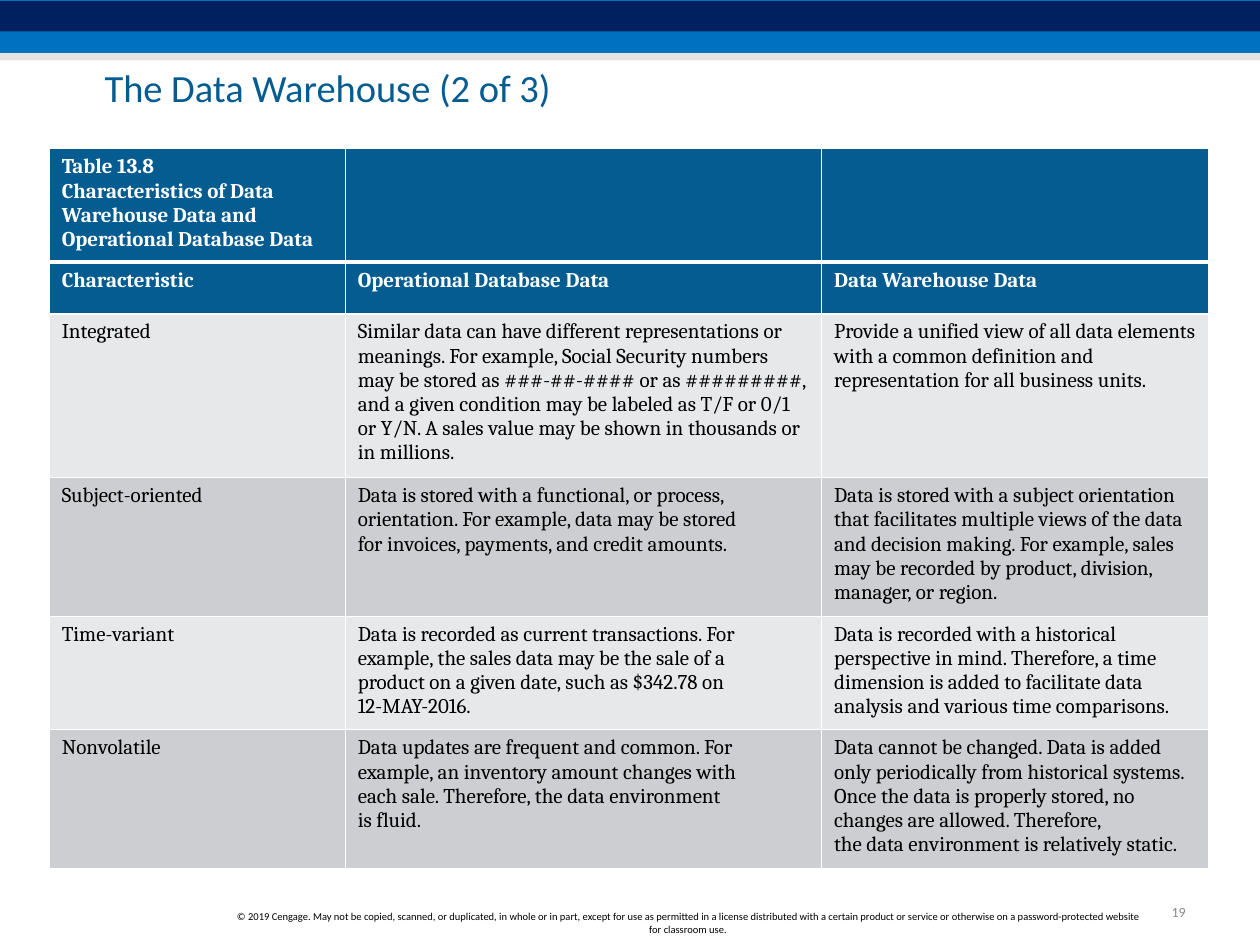
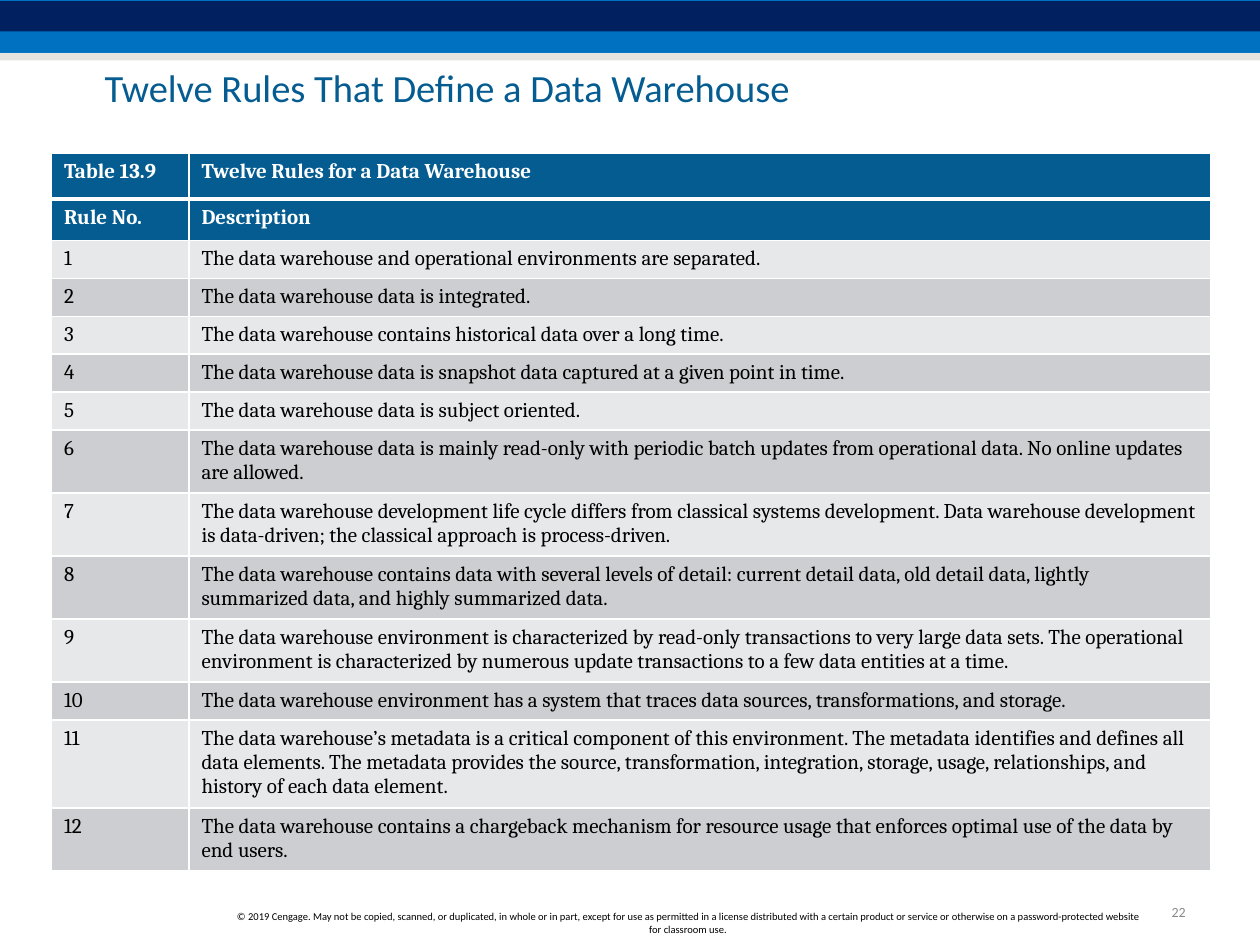
import pptx
import pptx.dml.color
import pptx.enum.shapes
import pptx.enum.text
import pptx.oxml
import pptx.oxml.ns
import pptx.util

Inches = pptx.util.Inches
Pt = pptx.util.Pt
ALIGN = pptx.enum.text.PP_ALIGN
ANCHOR = pptx.enum.text.MSO_ANCHOR
AUTO_SIZE = pptx.enum.text.MSO_AUTO_SIZE

# Shared style
WHITE, BLACK, GREY = "FFFFFF", "000000", "898989"
HEADER_BLUE = "055C91"
STRIPES = ("E7E8EA", "CCCED1")
# Each band: top, height, colour, opacity in percent
BANDS = [(0, 0.42, "0070C0", 100), (0.01, 0.24, "002060", 100), (0.42, 0.06, "CCC9C1", 50)]
TITLE_BOX = (0.83, 0.56, 8.78, 0.32)
FOOTER_BOX = (1.75, 7.19, 7.42, 0.27)
NUMBER_BOX = (9.17, 7.12, 0.34, 0.24)
LINE_HEIGHT, ROW_PADDING = 0.2, 0.1
COPYRIGHT = (
    "© 2019 Cengage. May not be copied, scanned, or duplicated, in whole or in part, "
    "except for use as permitted in a license distributed with a certain product or "
    "service or otherwise on a password-protected website for classroom use."
)

# Table contents: each body row starts with its number of text lines
CHARACTERISTICS = [
    (6, "Integrated",
     "Similar data can have different representations or meanings. For example, Social "
     "Security numbers may be stored as ###-##-#### or as #########, and a given condition "
     "may be labeled as T/F or 0/1 or Y/N. A sales value may be shown in thousands or in "
     "millions.",
     "Provide a unified view of all data elements with a common definition and "
     "representation for all business units."),
    (5, "Subject-oriented",
     "Data is stored with a functional, or process,\n"
     "orientation. For example, data may be stored\n"
     "for invoices, payments, and credit amounts.",
     "Data is stored with a subject orientation that facilitates multiple views of the data "
     "and decision making. For example, sales may be recorded by product, division, manager, "
     "or region."),
    (4, "Time-variant",
     "Data is recorded as current transactions. For\n"
     "example, the sales data may be the sale of a\n"
     "product on a given date, such as $342.78 on\n"
     "12-MAY-2016.",
     "Data is recorded with a historical perspective in mind. Therefore, a time dimension is "
     "added to facilitate data analysis and various time comparisons."),
    (5, "Nonvolatile",
     "Data updates are frequent and common. For\n"
     "example, an inventory amount changes with\n"
     "each sale. Therefore, the data environment\n"
     "is fluid.",
     "Data cannot be changed. Data is added only periodically from historical systems. Once "
     "the data is properly stored, no changes are allowed. Therefore,\n"
     "the data environment is relatively static."),
]
RULES = [
    (1, "The data warehouse and operational environments are separated."),
    (1, "The data warehouse data is integrated."),
    (1, "The data warehouse contains historical data over a long time."),
    (1, "The data warehouse data is snapshot data captured at a given point in time."),
    (1, "The data warehouse data is subject oriented."),
    (2, "The data warehouse data is mainly read-only with periodic batch updates from "
        "operational data. No online updates are allowed."),
    (2, "The data warehouse development life cycle differs from classical systems "
        "development. Data warehouse development is data-driven; the classical approach is "
        "process-driven."),
    (2, "The data warehouse contains data with several levels of detail: current detail "
        "data, old detail data, lightly summarized data, and highly summarized data."),
    (2, "The data warehouse environment is characterized by read-only transactions to very "
        "large data sets. The operational environment is characterized by numerous update "
        "transactions to a few data entities at a time."),
    (1, "The data warehouse environment has a system that traces data sources, "
        "transformations, and storage."),
    (3, "The data warehouse’s metadata is a critical component of this environment. The "
        "metadata identifies and defines all data elements. The metadata provides the source, "
        "transformation, integration, storage, usage, relationships, and history of each data "
        "element."),
    (2, "The data warehouse contains a chargeback mechanism for resource usage that enforces "
        "optimal use of the data by end users."),
]


def rgb(color):
    return pptx.dml.color.RGBColor.from_string(color)


def write_text(frame, text, *, size, color, font="Calibri", bold=False,
               align=ALIGN.LEFT, spacing=None):
    """Fill a text frame, one paragraph per line of text."""
    frame.text = text
    for paragraph in frame.paragraphs:
        paragraph.alignment = align
        if spacing:
            paragraph.line_spacing = spacing
        for run in paragraph.runs:
            run.font.name = font
            run.font.size = Pt(size)
            run.font.bold = bold
            run.font.color.rgb = rgb(color)


def add_text(slide, box, text, *, wrap=True, grow=False, margin=None, **text_format):
    frame = slide.shapes.add_textbox(*map(Inches, box)).text_frame
    frame.word_wrap = wrap
    frame.auto_size = AUTO_SIZE.SHAPE_TO_FIT_TEXT if grow else AUTO_SIZE.NONE
    frame.vertical_anchor = ANCHOR.MIDDLE
    if margin is not None:
        frame.margin_left = frame.margin_right = Inches(margin)
        frame.margin_top = frame.margin_bottom = Inches(margin)
    write_text(frame, text, **text_format)


def add_bands(slide):
    for top, height, color, opacity in BANDS:
        band = slide.shapes.add_shape(
            pptx.enum.shapes.MSO_SHAPE.RECTANGLE,
            Inches(0), Inches(top), Inches(10), Inches(height))
        band.shadow.inherit = False
        band.line.fill.background()
        band.fill.solid()
        band.fill.fore_color.rgb = rgb(color)
        if opacity < 100:
            color_element = band.fill._xPr.find(".//" + pptx.oxml.ns.qn("a:srgbClr"))
            color_element.append(pptx.oxml.parse_xml(
                f'<a:alpha {pptx.oxml.ns.nsdecls("a")} val="{opacity * 1000}"/>'))


def add_frame(presentation, title, number):
    """Add a slide with the bands, title, copyright line and page number."""
    slide = presentation.slides.add_slide(presentation.slide_layouts[6])
    add_text(slide, NUMBER_BOX, str(number), wrap=False, grow=True,
             size=8, color=GREY, align=ALIGN.RIGHT)
    add_bands(slide)
    add_text(slide, TITLE_BOX, title, grow=True, margin=0,
             size=22, color=HEADER_BLUE, spacing=0.85)
    add_text(slide, FOOTER_BOX, COPYRIGHT, size=6, color=BLACK, align=ALIGN.CENTER)
    return slide


def set_borders(cell, **widths):
    """Draw white cell borders; widths are points for L, R, T and B."""
    properties = cell._tc.get_or_add_tcPr()
    for side, width in widths.items():
        properties.append(pptx.oxml.parse_xml(
            f'<a:ln{side} {pptx.oxml.ns.nsdecls("a")} w="{Pt(width)}"><a:solidFill>'
            f'<a:srgbClr val="{WHITE}"/></a:solidFill></a:ln{side}>'))


def add_striped_table(slide, left, top, column_widths, header_heights, headers, body):
    """Place two header rows over striped body rows sized by their line counts."""
    heights = header_heights + [lines * LINE_HEIGHT + ROW_PADDING for lines, *_ in body]
    rows = headers + [texts for _, *texts in body]
    table = slide.shapes.add_table(
        len(rows), len(column_widths), Inches(left), Inches(top),
        Inches(sum(column_widths)), Inches(sum(heights))).table
    for column, width in zip(table.columns, column_widths):
        column.width = Inches(width)
    for row_index, (texts, height) in enumerate(zip(rows, heights)):
        table.rows[row_index].height = Inches(height)
        is_header = row_index < len(headers)
        for column_index, text in enumerate(texts):
            cell = table.cell(row_index, column_index)
            # A thick rule separates the caption row from the column heads
            set_borders(cell, L=1, R=1, T=3 if row_index == 1 else 1,
                        B=3 if row_index == 0 else 1)
            cell.fill.solid()
            cell.fill.fore_color.rgb = rgb(HEADER_BLUE if is_header else STRIPES[row_index % 2])
            write_text(cell.text_frame, text, size=12, font="Cambria", bold=is_header,
                       color=WHITE if is_header else BLACK)


def add_characteristics_slide(presentation):
    slide = add_frame(presentation, "The Data Warehouse (2 of 3)", 19)
    caption = ("Table 13.8\nCharacteristics of Data Warehouse Data and "
               "Operational Database Data")
    headers = [(caption, "", ""),
               ("Characteristic", "Operational Database Data", "Data Warehouse Data")]
    add_striped_table(slide, 0.39, 1.18, [2.35, 3.78, 3.07], [0.9, 0.41],
                      headers, CHARACTERISTICS)


def add_rules_slide(presentation):
    slide = add_frame(presentation, "Twelve Rules That Define a Data Warehouse", 22)
    headers = [("Table 13.9", "Twelve Rules for a Data Warehouse"),
               ("Rule No.", "Description")]
    body = [(lines, str(number), rule) for number, (lines, rule) in enumerate(RULES, 1)]
    add_striped_table(slide, 0.41, 1.22, [1.09, 8.11], [0.36, 0.33], headers, body)


def main():
    presentation = pptx.Presentation()
    presentation.slide_width = Inches(10)
    presentation.slide_height = Inches(7.5)
    add_characteristics_slide(presentation)
    add_rules_slide(presentation)
    presentation.save("out.pptx")


if __name__ == "__main__":
    main()
